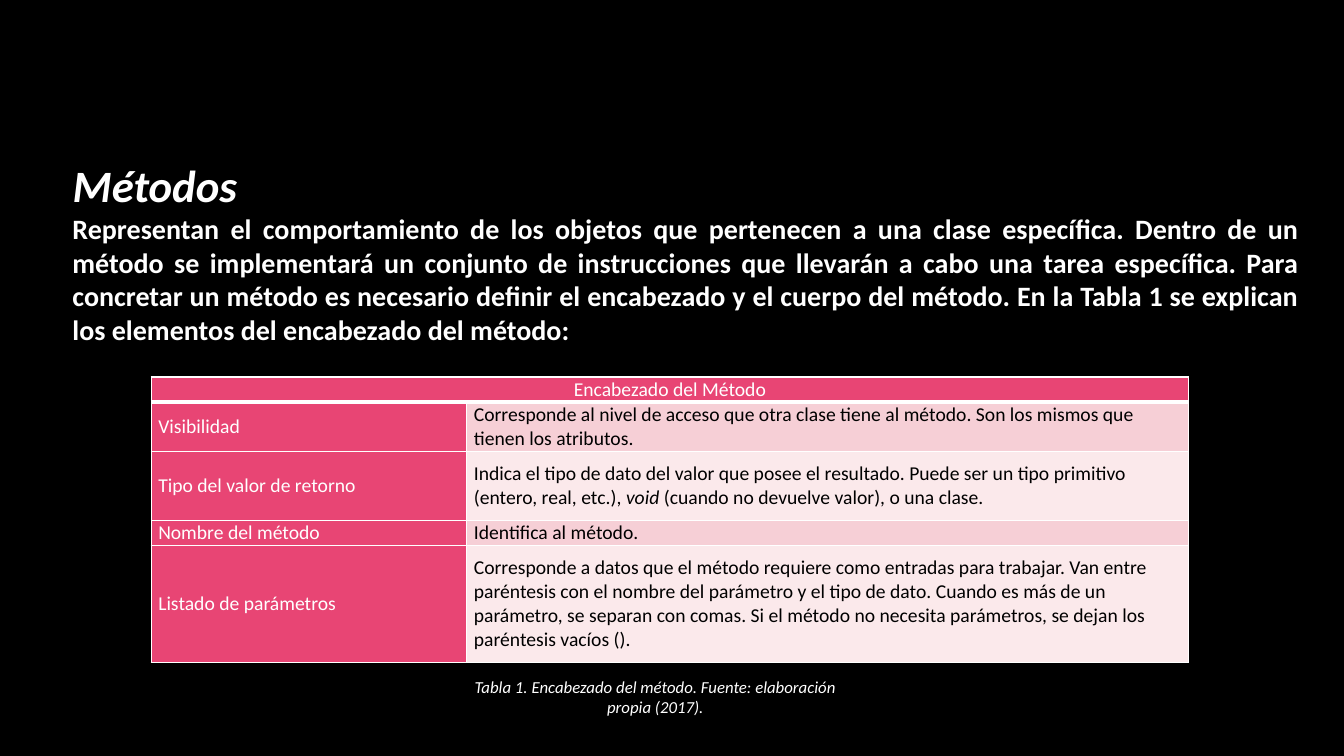
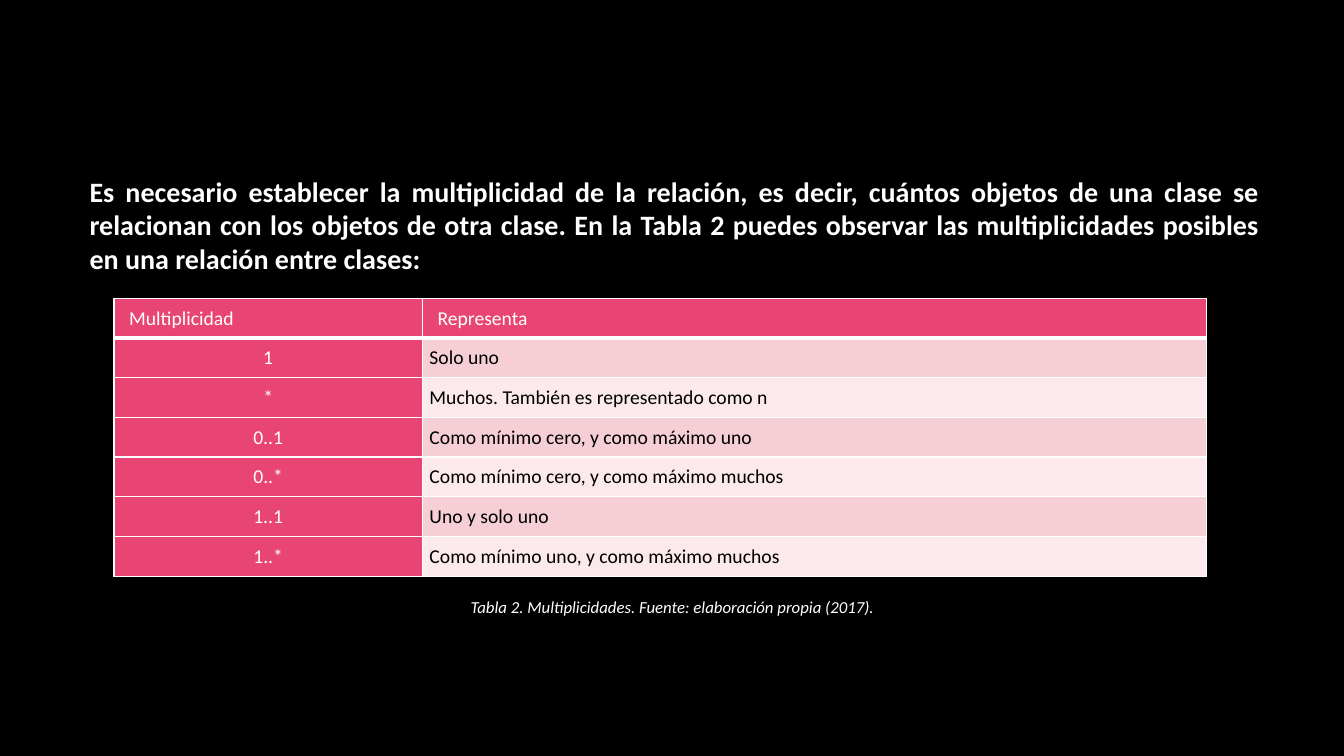
from dataclasses import dataclass
from typing import Optional

from lxml.etree import SubElement
from pptx import Presentation
from pptx.dml.color import RGBColor
from pptx.enum.text import MSO_ANCHOR, MSO_AUTO_SIZE, PP_ALIGN
from pptx.oxml.ns import qn
from pptx.util import Inches, Pt

BLACK = RGBColor(0x00, 0x00, 0x00)
WHITE = RGBColor(0xFF, 0xFF, 0xFF)
PINK = RGBColor(0xE8, 0x45, 0x74)
BANDS = (RGBColor(0xF6, 0xCF, 0xD6), RGBColor(0xFB, 0xE9, 0xEB))
FONT = "Calibri"
TITLE_ONLY, BLANK = 5, 6


@dataclass(frozen=True)
class Area:
    left: float
    top: float
    width: float
    height: float

    def lengths(self):
        return [Inches(side) for side in (self.left, self.top, self.width, self.height)]


@dataclass(frozen=True)
class TextBlock:
    area: Area
    text: str


@dataclass(frozen=True)
class Grid:
    area: Area
    columns: tuple[float, ...]
    heights: tuple[float, ...]
    header: tuple[str, ...]
    rows: tuple[tuple[str, str], ...]
    header_align: PP_ALIGN
    label_align: PP_ALIGN
    header_indent: float
    padding: float


@dataclass(frozen=True)
class Page:
    title: Optional[TextBlock]
    body: TextBlock
    grid: Grid
    caption: TextBlock


PAGES = (
    Page(
        title=TextBlock(Area(0.62, 1.51, 12.36, 0.64), "Métodos"),
        body=TextBlock(
            Area(0.62, 2.05, 12.36, 1.45),
            "Representan el comportamiento de los objetos que pertenecen a una clase específica. "
            "Dentro de un método se implementará un conjunto de instrucciones que llevarán a cabo "
            "una tarea específica. Para concretar un método es necesario definir el encabezado y el "
            "cuerpo del método. En la Tabla 1 se explican los elementos del encabezado del método:",
        ),
        grid=Grid(
            area=Area(1.5, 3.74, 10.28, 2.82),
            columns=(3.13, 7.16),
            heights=(0.25, 0.49, 0.68, 0.25, 1.16),
            header=("Encabezado del Método",),
            rows=(
                ("Visibilidad",
                 "Corresponde al nivel de acceso que otra clase tiene al método. Son los mismos que "
                 "tienen los atributos."),
                ("Tipo del valor de retorno",
                 "Indica el tipo de dato del valor que posee el resultado. Puede ser un tipo primitivo "
                 "(entero, real, etc.), _void_ (cuando no devuelve valor), o una clase."),
                ("Nombre del método", "Identifica al método."),
                ("Listado de parámetros",
                 "Corresponde a datos que el método requiere como entradas para trabajar. Van entre "
                 "paréntesis con el nombre del parámetro y el tipo de dato. Cuando es más de un "
                 "parámetro, se separan con comas. Si el método no necesita parámetros, se dejan los "
                 "paréntesis vacíos ()."),
            ),
            header_align=PP_ALIGN.CENTER,
            label_align=PP_ALIGN.LEFT,
            header_indent=0,
            padding=0,
        ),
        caption=TextBlock(
            Area(4.53, 6.66, 3.94, 0.5),
            "Tabla 1. Encabezado del método. Fuente: elaboración propia (2017).",
        ),
    ),
    Page(
        title=None,
        body=TextBlock(
            Area(0.79, 1.68, 11.8, 1.11),
            "Es necesario establecer la multiplicidad de la relación, es decir, cuántos objetos de una "
            "clase se relacionan con los objetos de otra clase. En la Tabla 2 puedes observar las "
            "multiplicidades posibles en una relación entre clases:",
        ),
        grid=Grid(
            area=Area(1.13, 2.96, 10.85, 2.73),
            columns=(3.06, 7.78),
            heights=(0.39,) * 7,
            header=("Multiplicidad", "Representa"),
            rows=(
                ("1", "Solo uno"),
                ("*", "Muchos. También es representado como n"),
                ("0..1", "Como mínimo cero, y como máximo uno"),
                ("0..*", "Como mínimo cero, y como máximo muchos"),
                ("1..1", "Uno y solo uno"),
                ("1..*", "Como mínimo uno, y como máximo muchos"),
            ),
            header_align=PP_ALIGN.LEFT,
            label_align=PP_ALIGN.CENTER,
            header_indent=0.08,
            padding=0.08,
        ),
        caption=TextBlock(
            Area(3.8, 5.87, 5.74, 0.3),
            "Tabla 2. Multiplicidades. Fuente: elaboración propia (2017).",
        ),
    ),
)


def style_paragraph(paragraph, size: float, color: RGBColor, align: PP_ALIGN,
                    bold: bool = False, italic: bool = False) -> None:
    paragraph.alignment = align
    font = paragraph.font
    font.name, font.size, font.bold, font.italic = FONT, Pt(size), bold, italic
    font.color.rgb = color


def add_text(slide, block: TextBlock, size: float, align: PP_ALIGN,
             bold: bool = False, italic: bool = False) -> None:
    frame = slide.shapes.add_textbox(*block.area.lengths()).text_frame
    frame.word_wrap = True
    frame.auto_size = MSO_AUTO_SIZE.SHAPE_TO_FIT_TEXT
    frame.text = block.text
    style_paragraph(frame.paragraphs[0], size, WHITE, align, bold, italic)


def set_title(slide, block: TextBlock) -> None:
    title = slide.shapes.title
    title.left, title.top, title.width, title.height = block.area.lengths()
    frame = title.text_frame
    frame.auto_size = MSO_AUTO_SIZE.NONE
    frame.vertical_anchor = MSO_ANCHOR.TOP
    frame.text = block.text
    style_paragraph(frame.paragraphs[0], 32, WHITE, PP_ALIGN.LEFT, bold=True, italic=True)


def set_borders(cell, bottom_width: float) -> None:
    properties = cell._tc.get_or_add_tcPr()
    for index, side in enumerate(("lnL", "lnR", "lnT", "lnB")):
        width = bottom_width if side == "lnB" else 1
        line = SubElement(properties, qn(f"a:{side}"), w=str(Pt(width)))
        fill = SubElement(line, qn("a:solidFill"))
        SubElement(fill, qn("a:srgbClr"), val=str(WHITE))
        properties.insert(index, line)


def fill_cell(cell, text: str, fill: RGBColor, color: RGBColor, align: PP_ALIGN,
              padding: float, indent: float = 0, bottom_width: float = 1) -> None:
    cell.fill.solid()
    cell.fill.fore_color.rgb = fill
    cell.vertical_anchor = MSO_ANCHOR.MIDDLE
    cell.margin_left, cell.margin_right = Inches(0.07 + indent), Inches(0.07)
    cell.margin_top = cell.margin_bottom = Inches(padding)
    paragraph = cell.text_frame.paragraphs[0]
    style_paragraph(paragraph, 14, color, align)
    for index, part in enumerate(text.split("_")):
        if part:
            span = paragraph.add_run()
            span.text = part
            if index % 2:
                span.font.italic = True
    set_borders(cell, bottom_width)


def add_grid(slide, grid: Grid) -> None:
    table = slide.shapes.add_table(
        len(grid.heights), len(grid.columns), *grid.area.lengths()).table
    table.first_row = table.horz_banding = False
    for column, width in zip(table.columns, grid.columns):
        column.width = Inches(width)
    for row, height in zip(table.rows, grid.heights):
        row.height = Inches(height)
    if len(grid.header) == 1:
        table.cell(0, 0).merge(table.cell(0, len(grid.columns) - 1))
    for column, text in enumerate(grid.header):
        fill_cell(table.cell(0, column), text, PINK, WHITE, grid.header_align,
                  grid.padding, grid.header_indent, bottom_width=3)
    for row, (label, description) in enumerate(grid.rows, start=1):
        fill_cell(table.cell(row, 0), label, PINK, WHITE, grid.label_align, grid.padding)
        fill_cell(table.cell(row, 1), description, BANDS[(row - 1) % 2], BLACK,
                  PP_ALIGN.LEFT, grid.padding)


def add_page(deck, page: Page) -> None:
    slide = deck.slides.add_slide(deck.slide_layouts[TITLE_ONLY if page.title else BLANK])
    if page.title:
        set_title(slide, page.title)
    add_text(slide, page.body, 20, PP_ALIGN.JUSTIFY, bold=True)
    add_grid(slide, page.grid)
    add_text(slide, page.caption, 12, PP_ALIGN.CENTER, italic=True)


def main() -> None:
    deck = Presentation()
    deck.slide_width, deck.slide_height = Inches(13.33), Inches(7.5)
    background = deck.slide_master.background.fill
    background.solid()
    background.fore_color.rgb = BLACK
    for page in PAGES:
        add_page(deck, page)
    deck.save("out.pptx")


if __name__ == "__main__":
    main()
